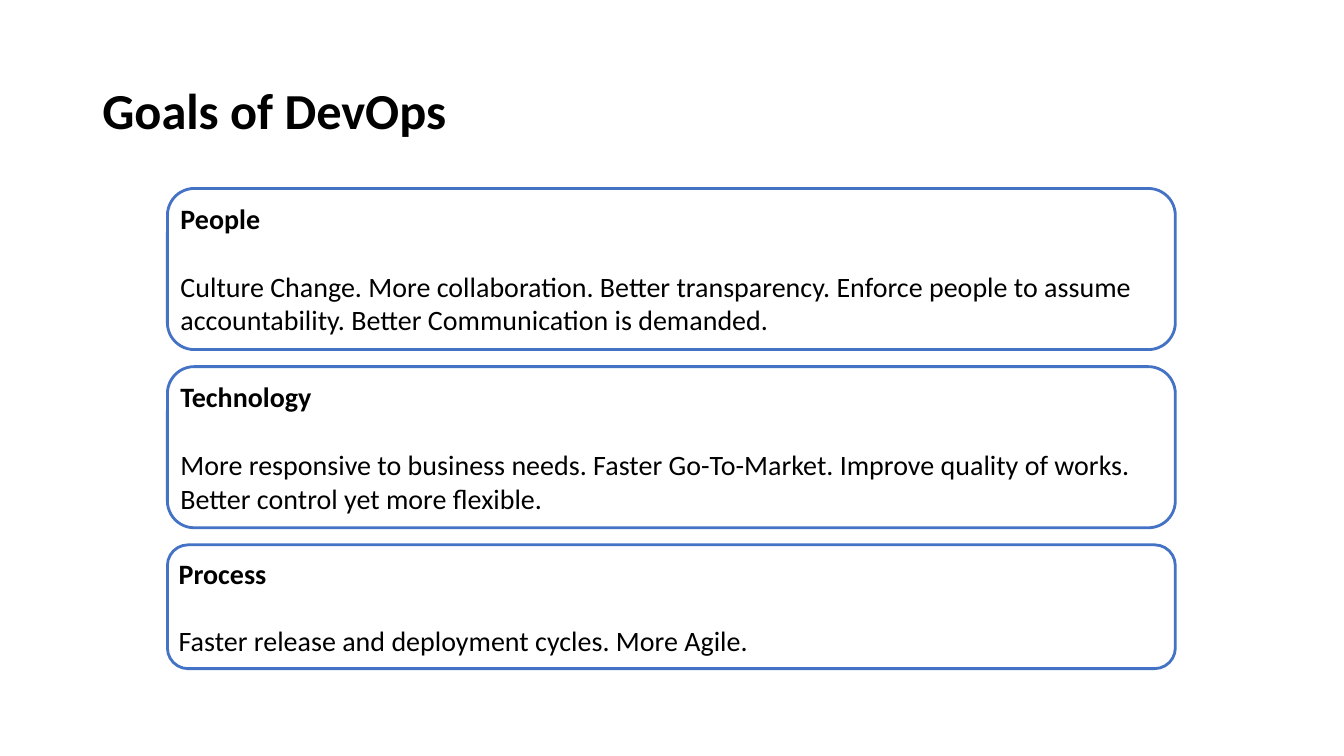
from pptx import Presentation
from pptx.dml.color import RGBColor
from pptx.enum import shapes, text
from pptx.util import Cm, Pt

HEADING = "Goals of DevOps"
GOALS = [
    ("People", "Culture Change. More collaboration. Better transparency. "
     "Enforce people to assume accountability. Better Communication is demanded.", 4.06),
    ("Technology", "More responsive to business needs. Faster Go-To-Market. "
     "Improve quality of works. Better control yet more flexible.", 4.06),
    ("Process", "Faster release and deployment cycles. More Agile.", 3.12),
]
THEME = {
    "font": "Calibri",
    "ink": RGBColor(0x00, 0x00, 0x00),
    "card": RGBColor(0xFF, 0xFF, 0xFF),
    "border": RGBColor(0x44, 0x72, 0xC4),
    "heading": Pt(36),
    "body": Pt(20),
    "border_width": Pt(2),
}
CARD_LEFT, CARD_TOP, CARD_WIDTH, CARD_GAP = 4.22, 4.75, 25.4, 0.43
CARD_INSET = Cm(0.13)


def apply(target, values):
    for name, value in values.items():
        setattr(target, name, value)


def write(paragraph, words, size, bold, **layout):
    apply(paragraph, {"alignment": text.PP_ALIGN.LEFT, **layout})
    run = paragraph.add_run()
    run.text = words
    apply(run.font, {"name": THEME["font"], "size": size, "bold": bold})
    run.font.color.rgb = THEME["ink"]


def add_heading(slide):
    heading = slide.shapes.add_textbox(Cm(2.33), Cm(1.01), Cm(29.21), Cm(3.68))
    frame = heading.text_frame
    apply(frame, {"word_wrap": True, "vertical_anchor": text.MSO_ANCHOR.MIDDLE})
    write(frame.paragraphs[0], HEADING, THEME["heading"], True, line_spacing=0.9)


def add_goal(slide, name, description, top, height):
    card = slide.shapes.add_shape(
        shapes.MSO_SHAPE.ROUNDED_RECTANGLE,
        Cm(CARD_LEFT), Cm(top), Cm(CARD_WIDTH), Cm(height))
    card.shadow.inherit = False
    card.fill.solid()
    card.fill.fore_color.rgb = THEME["card"]
    card.line.color.rgb = THEME["border"]
    card.line.width = THEME["border_width"]
    frame = card.text_frame
    apply(frame, {
        "word_wrap": True,
        "vertical_anchor": text.MSO_ANCHOR.MIDDLE,
        "margin_left": CARD_INSET,
        "margin_right": CARD_INSET,
        "margin_top": CARD_INSET,
        "margin_bottom": CARD_INSET,
    })
    write(frame.paragraphs[0], name, THEME["body"], True)
    write(frame.add_paragraph(), description, THEME["body"], False, space_before=Pt(24.4))


def main():
    deck = Presentation()
    apply(deck, {"slide_width": Cm(33.87), "slide_height": Cm(19.05)})
    slide = deck.slides.add_slide(deck.slide_layouts[6])
    add_heading(slide)
    top = CARD_TOP
    for name, description, height in GOALS:
        add_goal(slide, name, description, top, height)
        top += height + CARD_GAP
    deck.save("out.pptx")


if __name__ == "__main__":
    main()
